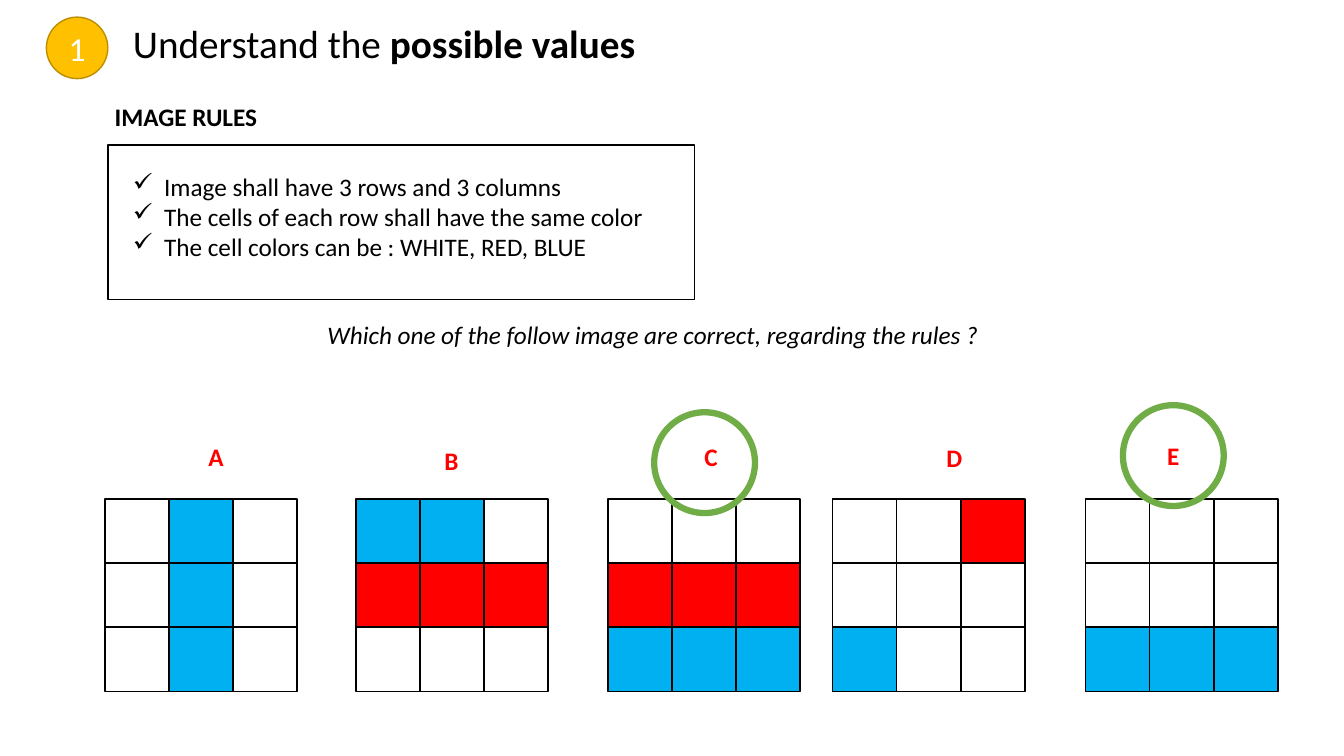
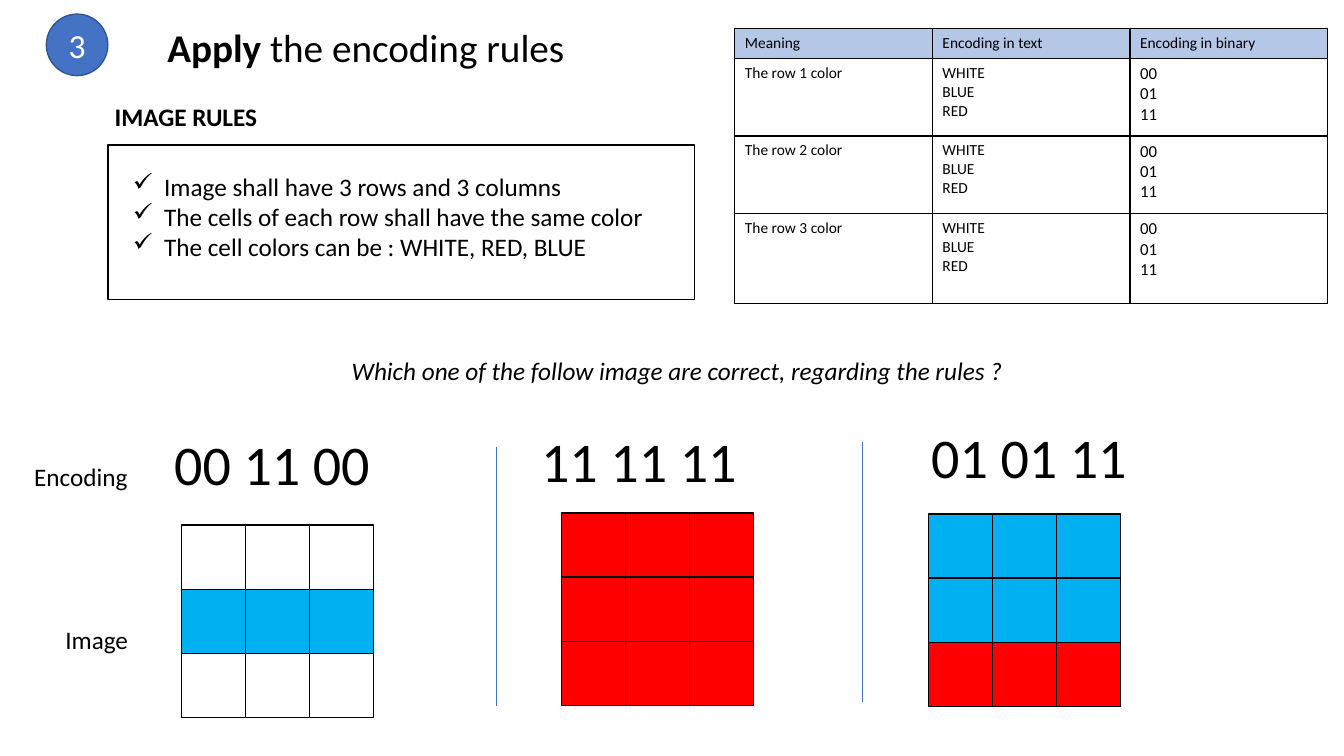
from lxml import etree
from pptx import Presentation, util as u
from pptx.dml.color import RGBColor
from pptx.enum import shapes, text
from pptx.oxml.ns import qn

CELL = 0.1
SLIDE_COLS, SLIDE_ROWS = 133.33, 75
PIXEL = 6.36
FONT = "Calibri"
COLORS = {
    "ink": "000000", "white": "FFFFFF", "red": "FF0000", "blue": "00B0F0",
    "amber": "FFC000", "amber_edge": "BD8E00", "royal": "4472C4",
    "royal_edge": "325491", "green": "70AD47", "header": "B4C7E7",
}
PIXEL_COLORS = {"W": "white", "R": "red", "B": "blue"}
STYLES = {
    "title": {"size": 28},
    "badge": {"size": 24},
    "body": {"size": 18},
    "heading": {"size": 18, "bold": True},
    "question": {"size": 18, "italic": True},
    "code": {"size": 40},
    "cell": {"size": 11},
    "binary": {"size": 12},
}
RULES = [
    "Image shall have 3 rows and 3 columns",
    "The cells of each row shall have the same color",
    "The cell colors can be : WHITE, RED, BLUE",
]
QUESTION = "Which one of the follow image are correct, regarding the rules ?"


def grid(*cells):
    return [u.Inches(cell * CELL) for cell in cells]


def rgb(name):
    return RGBColor.from_string(COLORS[name])


def style_font(font, style, color="ink", **extra):
    formats = {"name": FONT, **STYLES[style], **extra}
    formats["size"] = u.Pt(formats["size"])
    for attribute, value in formats.items():
        setattr(font, attribute, value)
    font.color.rgb = rgb(color)


def write(frame, paragraphs, style, color="ink", align=None):
    for index, runs in enumerate(paragraphs):
        paragraph = frame.paragraphs[0] if index == 0 else frame.add_paragraph()
        paragraph.alignment = align
        for words, bold in runs:
            run = paragraph.add_run()
            run.text = words
            extra = {"bold": True} if bold else {}
            style_font(run.font, style, color, **extra)


def add_text(slide, box, paragraphs, style, color="ink", align=None, wrap=True):
    frame = slide.shapes.add_textbox(*grid(*box)).text_frame
    formats = {"word_wrap": wrap, "auto_size": text.MSO_AUTO_SIZE.SHAPE_TO_FIT_TEXT}
    for attribute, value in formats.items():
        setattr(frame, attribute, value)
    write(frame, paragraphs, style, color, align)
    return frame


def add_line_of_text(slide, box, words, style, color="ink", wrap=False):
    return add_text(slide, box, [[(words, False)]], style, color, wrap=wrap)


def add_figure(slide, kind, box, fill=None, edge="ink", width=1):
    figure = slide.shapes.add_shape(kind, *grid(*box))
    figure.shadow.inherit = False
    if fill:
        figure.fill.solid()
        figure.fill.fore_color.rgb = rgb(fill)
    else:
        figure.fill.background()
    figure.line.color.rgb = rgb(edge)
    figure.line.width = u.Pt(width)
    return figure


def add_badge(slide, box, number, fill, edge):
    badge = add_figure(slide, shapes.MSO_SHAPE.OVAL, box, fill, edge)
    badge.text_frame.vertical_anchor = text.MSO_ANCHOR.MIDDLE
    write(badge.text_frame, [[(number, False)]], "badge", "white", text.PP_ALIGN.CENTER)


def add_rules(slide, box):
    left, top, width, height = box
    add_line_of_text(slide, (left - 0.3, top - 4.8, 16.3, 4), "IMAGE RULES", "heading")
    add_figure(slide, shapes.MSO_SHAPE.RECTANGLE, box)
    rules = add_text(slide, (left + 1.5, top + 2.1, width - 2.7, 10.1),
                     [[(rule, False)] for rule in RULES], "body")
    indent = u.Inches(0.31)
    for paragraph in rules.paragraphs:
        properties = paragraph._p.get_or_add_pPr()
        properties.set("marL", str(indent))
        properties.set("indent", str(-indent))
        etree.SubElement(properties, qn("a:buChar")).set("char", "✓")


def add_pixels(slide, corner, pattern):
    left, top = corner
    for row, codes in enumerate(pattern.split()):
        for column, code in enumerate(codes):
            box = (left + column * PIXEL, top + row * PIXEL, PIXEL, PIXEL)
            add_figure(slide, shapes.MSO_SHAPE.RECTANGLE, box, PIXEL_COLORS[code])


def add_option(slide, corner, pattern, letter, label_shift, ring_shift):
    left, top = corner
    add_pixels(slide, corner, pattern)
    label_box = (left + label_shift[0], top + label_shift[1], 3.4, 3.4)
    add_line_of_text(slide, label_box, letter, "heading", "red")
    if ring_shift:
        ring_box = (left + ring_shift[0], top + ring_shift[1], 10, 10)
        add_figure(slide, shapes.MSO_SHAPE.OVAL, ring_box, edge="green", width=4.5)


def add_divider(slide, left, top, height):
    divider = slide.shapes.add_connector(
        shapes.MSO_CONNECTOR.STRAIGHT, *grid(left, top, left, top + height))
    divider.line.color.rgb = rgb("royal")
    divider.line.width = u.Pt(0.5)
    etree.SubElement(divider._element.spPr, qn("a:effectLst"))


def add_borders(cell):
    properties = cell._tc.get_or_add_tcPr()
    for side in ("lnL", "lnR", "lnT", "lnB"):
        border = etree.SubElement(properties, qn(f"a:{side}"), w=str(u.Pt(1)))
        fill = etree.SubElement(border, qn("a:solidFill"))
        etree.SubElement(fill, qn("a:srgbClr"), val=COLORS["ink"])


def add_code_table(slide, box):
    names = [["WHITE"], ["BLUE"], ["RED"]]
    bits = [["00"], ["01"], ["11"]]
    rows = [[[["Meaning"]], [["Encoding in text"]], [["Encoding in binary"]]]]
    rows += [[[[f"The row {number} color"]], names, bits] for number in (1, 2, 3)]
    table = slide.shapes.add_table(len(rows), 3, *grid(*box)).table
    for flag in ("first_row", "horz_banding"):
        setattr(table, flag, False)
    for column in table.columns:
        column.width = grid(box[2] / 3)[0]
    for row, height in zip(table.rows, grid(3, 7.7, 7.7, 8.9)):
        row.height = height
    for row, entries in enumerate(rows):
        for column, entry in enumerate(entries):
            cell = table.cell(row, column)
            add_borders(cell)
            if row == 0:
                cell.fill.solid()
                cell.fill.fore_color.rgb = rgb("header")
            else:
                cell.fill.background()
            style = "binary" if entry is bits else "cell"
            write(cell.text_frame, [[(line, False) for line in lines] for lines in entry], style)


def add_common(slide, badge, title_box, title, title_align, question_corner):
    add_line_of_text(slide, (*question_corner, 72.6, 4), QUESTION, "question", wrap=True)
    add_text(slide, title_box, [title], "title", align=title_align)
    add_badge(slide, *badge)
    add_rules(slide, (10.7, 14.4, 58.2, 15.3))


def build_values_slide(slide):
    add_common(slide, ((4.6, 1.7, 6.1, 6.1), "1", "amber", "amber_edge"),
               (12.2, 1.4, 54.5, 5.7),
               [("Understand the ", False), ("possible values", True)],
               None, (31.5, 31.2))
    options = [
        (10.4, "WBW WBW WBW", "A", (9.3, -6.2), None),
        (35.3, "BBW RRR WWW", "B", (7.8, -5.8), None),
        (60.3, "WWW RRR BBB", "C", (8.6, -6.2), (4.6, -8.6)),
        (82.6, "WWR WWW BWW", "D", (10.3, -6.1), None),
        (107.7, "WWW WWW BBB", "E", (7.1, -6.3), (3.7, -9.3)),
    ]
    for left, *option in options:
        add_option(slide, (left, 49.5), *option)


def build_encoding_slide(slide):
    add_common(slide, ((4.6, 1.4, 6.1, 6.1), "3", "royal", "royal_edge"),
               (13.8, 1.8, 45, 5.7),
               [("Apply", True), (" the encoding rules", False)],
               text.PP_ALIGN.CENTER, (33.9, 34.8))
    add_code_table(slide, (72.9, 2.8, 58.8, 27.3))
    add_line_of_text(slide, (2.4, 45.3, 11.4, 4), "Encoding", "body")
    add_line_of_text(slide, (5.5, 61.4, 8.3, 4), "Image", "body")
    examples = [
        ("00 11 00", (16.3, 42.1), (18, 52.1), "WWW BBB WWW"),
        ("11 11 11", (52.7, 41.8), (55.7, 50.9), "RRR RRR RRR"),
        ("01 01 11", (91.4, 41.4), (92.1, 51), "BBB BBB RRR"),
    ]
    for code, code_corner, pixel_corner, pattern in examples:
        add_line_of_text(slide, (*code_corner, 21.6, 7.7), code, "code")
        add_pixels(slide, pixel_corner, pattern)
    for left, top in ((49.2, 44.3), (85.6, 43.9)):
        add_divider(slide, left, top, 25.7)


def main():
    deck = Presentation()
    deck.slide_width, deck.slide_height = grid(SLIDE_COLS, SLIDE_ROWS)
    for build in (build_values_slide, build_encoding_slide):
        build(deck.slides.add_slide(deck.slide_layouts[6]))
    deck.save("out.pptx")


if __name__ == "__main__":
    main()
